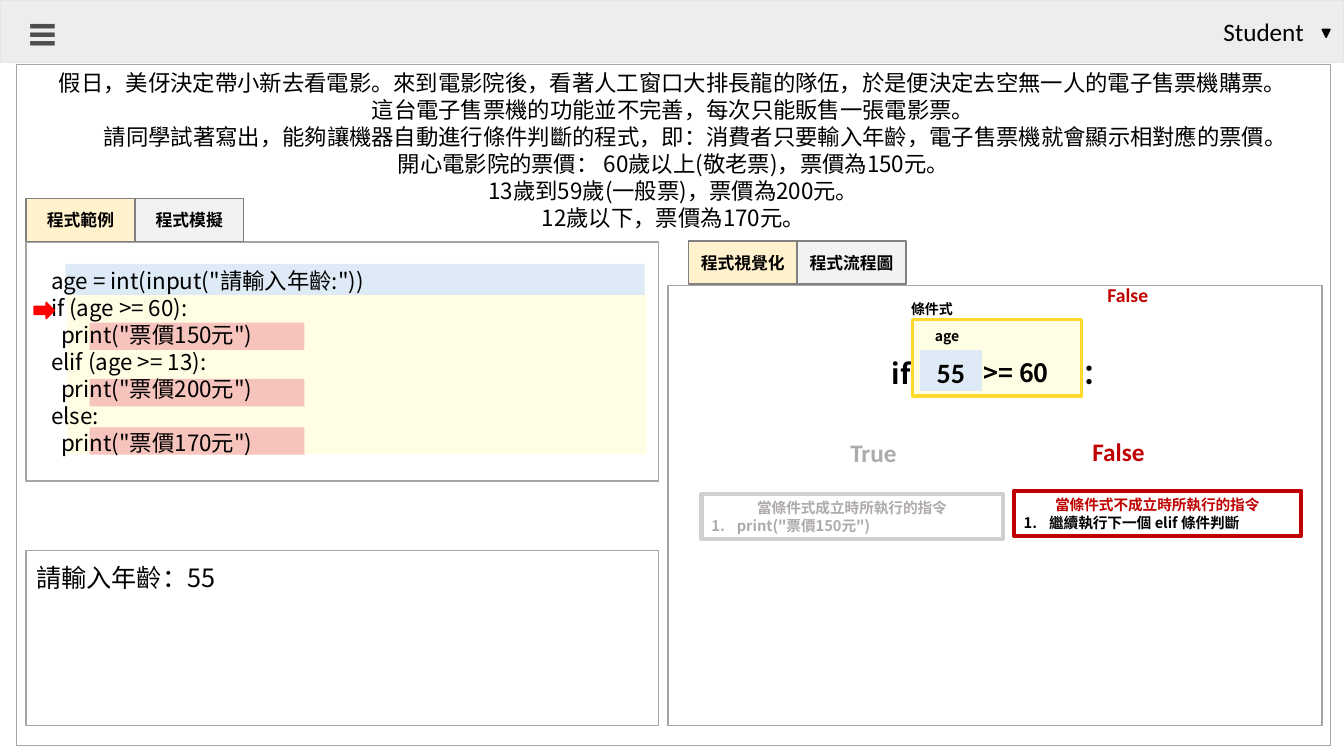
from dataclasses import dataclass

from lxml import etree
from pptx import Presentation
from pptx import util as u
from pptx.dml.color import RGBColor
from pptx.enum import shapes, text
from pptx.oxml.ns import qn

KIND = shapes.MSO_SHAPE
MID = text.MSO_ANCHOR.MIDDLE
CENTER = text.PP_ALIGN.CENTER


@dataclass(frozen=True)
class Theme:
    cjk: str = "Noto Sans CJK SC"
    latin: str = "Calibri"
    icon: str = "Roboto"
    black: str = "000000"
    white: str = "FFFFFF"
    border: str = "A5A5A5"
    edge: str = "808080"
    bar: str = "EDEDED"
    rim: str = "E7E6E6"
    glyph: str = "4D4D4D"
    active: str = "FFF2CC"
    idle: str = "F2F2F2"
    blue: str = "DEEBF7"
    cream: str = "FFFDE3"
    pink: str = "F6C4BC"
    gold: str = "FFDA2D"
    arrow: str = "FF0000"
    red: str = "C00000"
    faded: str = "AFABAB"
    frame: str = "D0CECE"
    tiny: float = 10
    note: float = 10.5
    small: float = 12
    label: float = 14
    body: float = 16
    large: float = 18
    value: float = 20
    menu: float = 28


class Board:
    def __init__(self, theme, slide):
        self.theme = theme
        self.slide = slide

    def box(self, at, fill=None, line=None, width=1, kind=KIND.RECTANGLE):
        shape = self.slide.shapes.add_shape(kind, *map(u.Cm, at))
        shape.shadow.inherit = False
        if fill:
            shape.fill.solid()
            shape.fill.fore_color.rgb = RGBColor.from_string(fill)
        else:
            shape.fill.background()
        if line:
            shape.line.color.rgb = RGBColor.from_string(line)
            shape.line.width = u.Pt(width)
        else:
            shape.line.fill.background()
        return shape

    def label(self, at, line, size, **look):
        shape = self.slide.shapes.add_textbox(*map(u.Cm, at))
        return self.put(shape, [line], size, **look)

    def put(self, shape, lines, size, color=None, bold=False, font=None,
            align=text.PP_ALIGN.LEFT, anchor=text.MSO_ANCHOR.TOP, wrap=True):
        """Fill a shape with one paragraph per line and return its paragraphs."""
        frame = shape.text_frame
        frame.text = "\n".join(lines)
        frame.word_wrap = wrap
        frame.vertical_anchor = anchor
        for para in frame.paragraphs:
            para.alignment = align
            self.style(para, size, color or self.theme.black, bold, font)
        return frame.paragraphs

    def style(self, para, size, color, bold, font=None):
        face = font or self.theme.cjk
        for run in para.runs:
            run.font.size = u.Pt(size)
            run.font.bold = bold
            run.font.color.rgb = RGBColor.from_string(color)
            run.font.name = face
            props = run._r.get_or_add_rPr()
            east = props.find(qn("a:ea"))
            if east is None:
                east = etree.Element(qn("a:ea"))
                props.find(qn("a:latin")).addnext(east)
            east.set("typeface", face)

    def indent(self, para, left, first=0):
        props = para._p.get_or_add_pPr()
        props.set("marL", str(u.Cm(left)))
        props.set("indent", str(u.Cm(first)))
        return props

    def tabs(self, left, top, names):
        t = self.theme
        for i, (name, fill) in enumerate(zip(names, (t.active, t.idle))):
            tab = self.box((left + i * 2.74, top, 2.74, 1.09), fill, t.edge)
            self.put(tab, [name], t.small, bold=True, align=CENTER, anchor=MID)

    def branch(self, at, line, head, step, tone, ink):
        """Framed result: a centred heading over one numbered step."""
        t = self.theme
        shape = self.box(at, line=line, width=3)
        top, item = self.put(shape, [head, step], t.note, tone, True)
        top.alignment = CENTER
        props = self.indent(item, 0.64, -0.64)
        etree.SubElement(props, qn("a:buAutoNum"), type="arabicPeriod")
        self.style(item, t.note, ink, True)

    def verdict(self, at, word, color):
        t = self.theme
        self.put(self.box(at, t.white), [word], t.large, color, True, t.latin,
                 wrap=False)

    def task(self):
        lines = [
            "假日，美伢決定帶小新去看電影。來到電影院後，看著人工窗口大排長龍的隊伍，於是便決定去空無一人的電子售票機購票。",
            "這台電子售票機的功能並不完善，每次只能販售一張電影票。",
            "請同學試著寫出，能夠讓機器自動進行條件判斷的程式，即：消費者只要輸入年齡，電子售票機就會顯示相對應的票價。",
            "開心電影院的票價： 60歲以上(敬老票)，票價為150元。",
            "13歲到59歲(一般票)，票價為200元。",
            "12歲以下，票價為170元。",
        ]
        t = self.theme
        page = self.box((0.41, 1.63, 33.12, 17.15), line=t.border)
        paras = self.put(page, lines, t.body, align=CENTER)
        self.indent(paras[2], 1.14)

    def code(self):
        t = self.theme
        self.box((1.65, 6.65, 14.6, 0.79), t.blue)
        self.box((1.7, 7.44, 14.6, 4.01), t.cream)
        for top in (8.13, 9.55, 10.77):
            self.box((2.26, top, 5.41, 0.69), t.pink)
        lines = [
            '   age = int(input("請輸入年齡:"))',
            "   if (age >= 60):",
            '     print("票價150元")',
            "   elif (age >= 13):",
            '     print("票價200元")',
            "   else:",
            '     print("票價170元")',
        ]
        panel = self.box((0.66, 6.1, 15.93, 6.02), line=t.border)
        self.put(panel, lines, t.body, anchor=MID)

    def test(self):
        t = self.theme
        self.box((16.84, 7.19, 16.48, 11.1), t.white, t.border)
        area = self.slide.shapes.add_textbox(*map(u.Cm, (22.23, 7.44, 7.67, 2.51)))
        name, rule = self.put(area, ["條件式", "if\t："], t.tiny, bold=True)
        self.indent(name, 0.48)
        rule.space_before = u.Pt(28)
        stops = etree.SubElement(rule._p.get_or_add_pPr(), qn("a:tabLst"))
        etree.SubElement(stops, qn("a:tab"), pos=str(u.Cm(4.8)), algn="l")
        self.style(rule, t.value, t.black, True)

        cond = self.box((22.99, 8.05, 4.27, 1.93), t.cream, t.gold, 2.25)
        var, check = self.put(cond, ["age", ">= 60"], t.tiny, bold=True, anchor=MID)
        self.indent(var, 0.32)
        self.indent(check, 1.55)
        check.space_before = u.Pt(9.6)
        self.style(check, t.large, t.black, True)
        cell = self.box((23.19, 8.84, 1.55, 0.99), t.blue, t.blue, 0.75)
        self.put(cell, ["55"], t.value, bold=True, font=t.latin, align=CENTER)

    def header(self):
        t = self.theme
        self.box((0, 0, 33.87, 1.57), t.bar, t.rim)
        self.label((30.58, 0.28, 2.95, 1.02), "Student", t.large, font=t.latin)
        mark = self.box((33.32, 0.74, 0.2, 0.2), t.black, t.black,
                        kind=KIND.ISOSCELES_TRIANGLE)
        mark.rotation = 180
        self.label((0.41, 0.08, 1.24, 1.45), "≡", t.menu, color=t.glyph,
                   bold=True, font=t.icon)

    def output(self):
        t = self.theme
        panel = self.box((0.66, 13.87, 15.93, 4.42), t.white, t.border)
        self.put(panel, ["請輸入年齡：55"], t.large)
        panel.text_frame.margin_top = u.Cm(0.3)


def main():
    deck = Presentation()
    deck.slide_width, deck.slide_height = u.Cm(33.87), u.Cm(19.05)
    t = Theme()
    board = Board(t, deck.slides.add_slide(deck.slide_layouts[6]))
    board.task()
    board.code()
    board.test()
    board.header()
    board.tabs(17.35, 6.07, ("程式視覺化", "程式流程圖"))
    board.tabs(0.66, 5, ("程式範例", "程式模擬"))
    board.output()
    board.branch((17.68, 12.45, 7.59, 1.14), t.frame, "當條件式成立時所執行的指令",
                 'print("票價150元")', t.faded, t.faded)
    board.verdict((21.18, 10.9, 1.68, 0.71), "True", t.faded)
    board.verdict((27.28, 10.87, 1.83, 0.71), "False", t.red)
    board.branch((25.55, 12.37, 7.24, 1.14), t.red, "當條件式不成立時所執行的指令",
                 "繼續執行下一個 elif 條件判斷", t.red, t.black)
    board.box((0.86, 7.62, 0.51, 0.41), t.arrow, t.arrow, kind=KIND.RIGHT_ARROW)
    board.label((27.66, 7.01, 2.21, 0.86), "False", t.label, color=t.red,
                bold=True, font=t.latin)
    deck.save("out.pptx")


if __name__ == "__main__":
    main()
